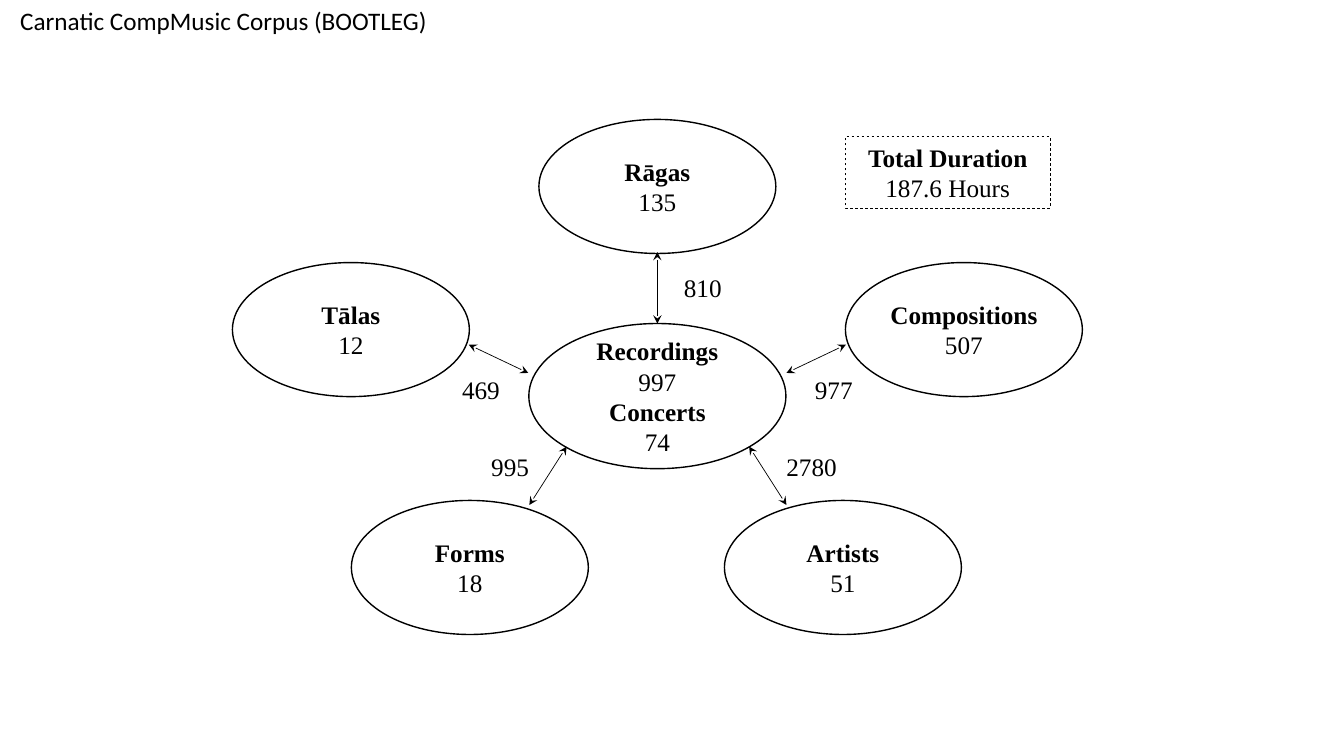
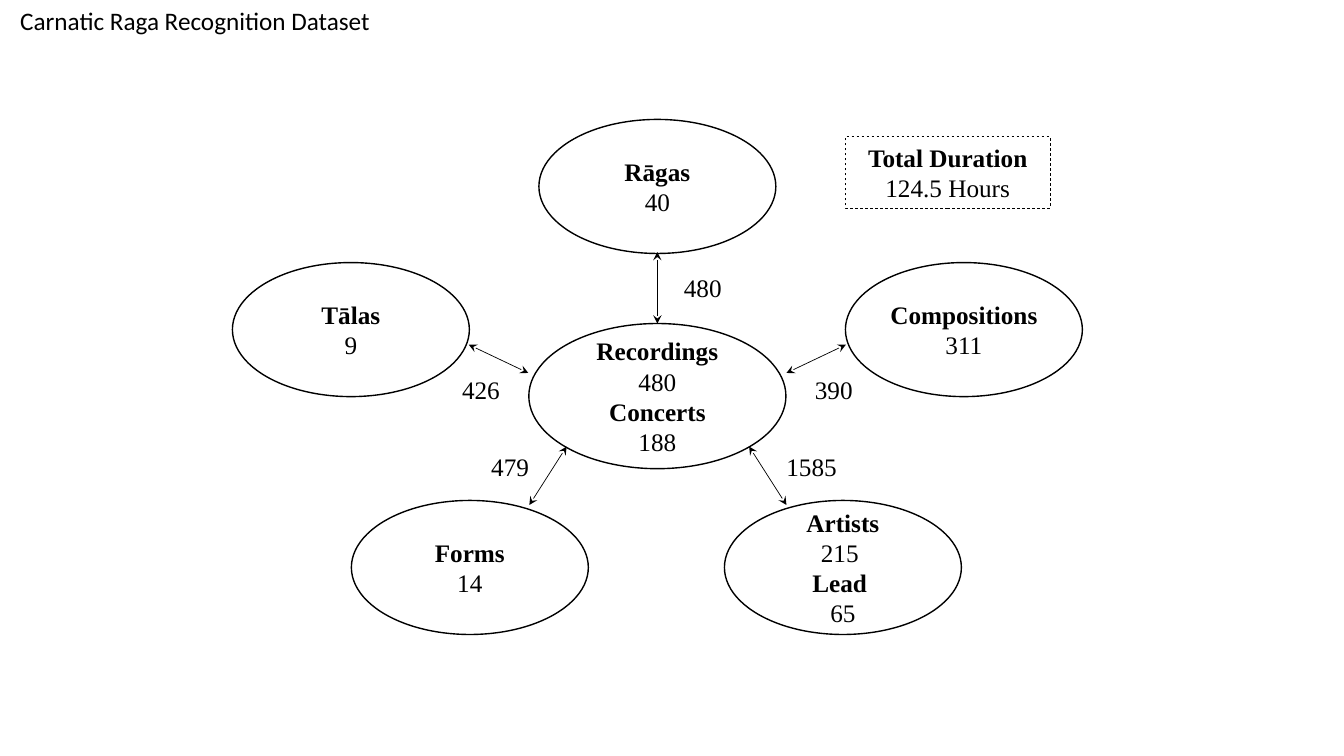
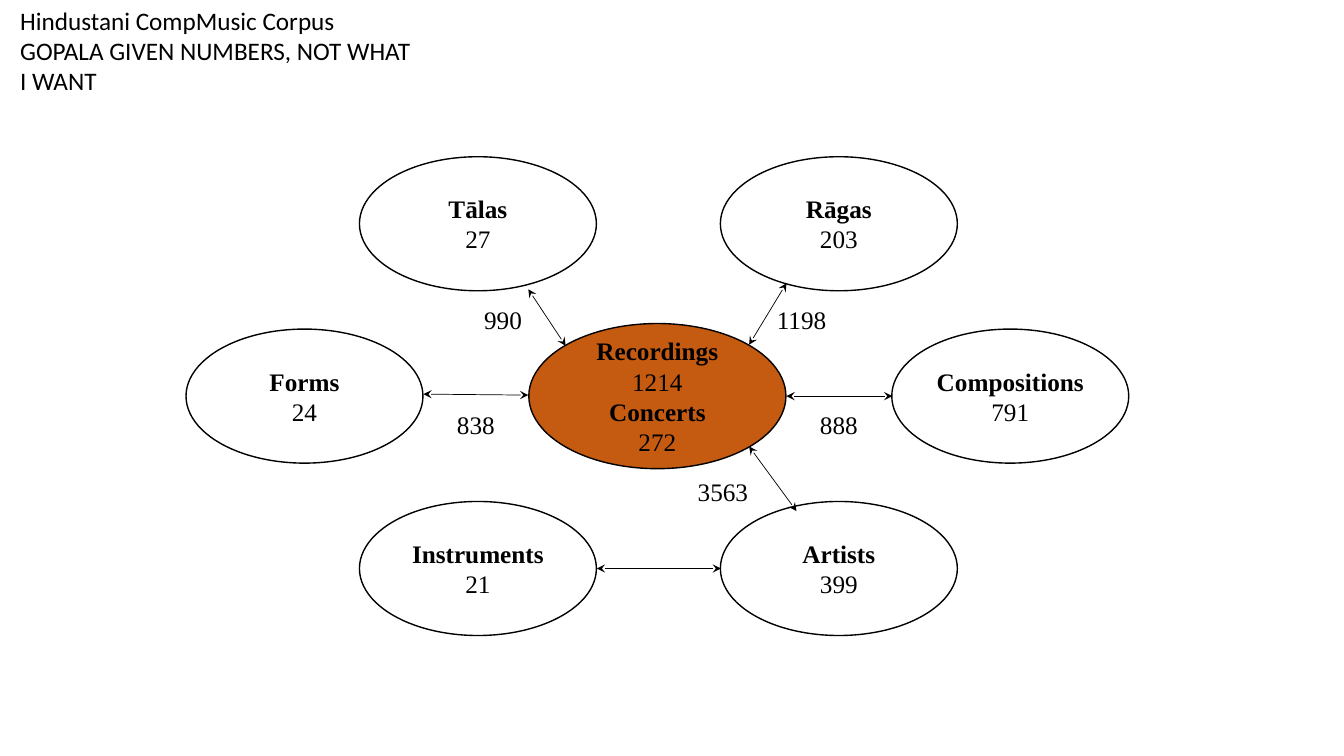
from dataclasses import dataclass

from lxml import etree
from pptx import Presentation
from pptx.dml.color import RGBColor as Rgb
from pptx.enum.dml import MSO_LINE
from pptx.enum.shapes import MSO_CONNECTOR as Wire, MSO_SHAPE as Form
from pptx.enum.text import MSO_ANCHOR as Anchor, MSO_AUTO_SIZE as Fit, PP_ALIGN as Align
from pptx.oxml.ns import qn
from pptx.util import Inches, Pt


@dataclass(frozen=True)
class Theme:
    ink: Rgb = Rgb(0x00, 0x00, 0x00)
    accent: Rgb = Rgb(0xC5, 0x5A, 0x11)
    head: str = "Calibri"
    body: str = "Times New Roman"
    size: int = 18
    edge: float = 1
    thin: float = 0.5


@dataclass(frozen=True)
class Spoke:
    """A topic around the hub; every point is an offset from the hub's centre."""
    name: str
    node: tuple
    start: tuple
    end: tuple
    label: tuple


HUB = (6.52, 3.93)
HUB_SIZE = (2.55, 1.44)
NODE_SIZE = (2.35, 1.33)
LABEL_SIZE = (0.93, 0.4)
TOTAL = (9.4, 1.71)
TOTAL_SIZE = (2.03, 0.71)

STAR = [
    Spoke("Rāgas", (0, -2.08), (0, -0.72), (0, -1.43), (0.45, -1.08)),
    Spoke("Tālas", (-3.04, -0.66), (-1.28, -0.23), (-1.87, -0.51), (-1.75, -0.07)),
    Spoke("Compositions", (3.04, -0.66), (1.28, -0.23), (1.87, -0.51), (1.75, -0.07)),
    Spoke("Forms", (-1.86, 1.7), (-0.9, 0.5), (-1.27, 1.08), (-1.46, 0.7)),
    Spoke("Artists", (1.84, 1.7), (0.91, 0.5), (1.28, 1.08), (1.53, 0.7)),
]
RING = [
    Spoke("Tālas", (-1.78, -1.71), (-0.91, -0.5), (-1.28, -1.06), (-1.53, -0.76)),
    Spoke("Rāgas", (1.8, -1.71), (0.91, -0.51), (1.28, -1.12), (1.43, -0.76)),
    Spoke("Forms", (-3.5, 0), (-1.28, -0.01), (-2.32, -0.02), (-1.8, 0.28)),
    Spoke("Compositions", (3.5, 0), (1.28, 0), (2.33, 0), (1.8, 0.28)),
    Spoke("Instruments", (-1.78, 1.71), (0.63, 1.71), (-0.6, 1.71), (0, 0)),
    Spoke("Artists", (1.8, 1.71), (0.91, 0.5), (1.38, 1.14), (0.65, 0.95)),
]


def put(item, **fmt):
    for key, value in fmt.items():
        setattr(item, key, value)


def shift(point):
    return HUB[0] + point[0], HUB[1] + point[1]


def frame(mid, size):
    """Left, top, width and height of a box centred on mid."""
    return [Inches(v) for v in (mid[0] - size[0] / 2, mid[1] - size[1] / 2, *size)]


class Deck:
    def __init__(self, theme):
        self.theme = theme
        self.prs = Presentation()
        put(self.prs, slide_width=Inches(13.33), slide_height=Inches(7.5))
        self.slide = None

    def font(self, item, name, bold=False):
        put(item.font, name=name, size=Pt(self.theme.size), bold=bold)
        item.font.color.rgb = self.theme.ink

    def page(self, title, width, height):
        self.slide = self.prs.slides.add_slide(self.prs.slide_layouts[5])
        box = self.slide.shapes.title
        put(box, left=Inches(0.1), top=0, width=Inches(width), height=Inches(height))
        put(box.text_frame, text=title, word_wrap=True, auto_size=Fit.NONE,
            vertical_anchor=Anchor.TOP)
        para = box.text_frame.paragraphs[0]
        put(para, alignment=Align.LEFT, line_spacing=1)
        self.font(para, self.theme.head)

    def words(self, box, lines, bold):
        """Centre the lines; with bold, names and values alternate in weight."""
        text = box.text_frame
        put(text, text="\n".join(lines), word_wrap=True, vertical_anchor=Anchor.MIDDLE,
            margin_left=0, margin_right=0)
        for i, para in enumerate(text.paragraphs):
            para.alignment = Align.CENTER
            self.font(para, self.theme.body, bold and i % 2 == 0)

    def block(self, form, mid, size, lines, weight, fill=None, dash=None):
        box = self.slide.shapes.add_shape(form, *frame(mid, size))
        box.shadow.inherit = False
        if fill is None:
            box.fill.background()
        else:
            box.fill.solid()
            box.fill.fore_color.rgb = fill
        box.line.color.rgb = self.theme.ink
        put(box.line, width=Pt(weight), dash_style=dash)
        self.words(box, lines, True)

    def oval(self, mid, size, lines, fill=None):
        self.block(Form.OVAL, mid, size, lines, self.theme.edge, fill)

    def label(self, mid, text):
        self.words(self.slide.shapes.add_textbox(*frame(mid, LABEL_SIZE)), [text], False)

    def arrow(self, start, end):
        """Thin line with an arrowhead at both ends."""
        ends = [Inches(v) for v in (*start, *end)]
        wire = self.slide.shapes.add_connector(Wire.STRAIGHT, *ends)
        wire.line.width = Pt(self.theme.thin)
        wire.line.color.rgb = self.theme.ink
        props = wire._element.spPr
        for tag in ("a:headEnd", "a:tailEnd"):
            etree.SubElement(props.find(qn("a:ln")), qn(tag), type="stealth")
        etree.SubElement(props, qn("a:effectLst"))

    def total(self, hours):
        self.block(Form.RECTANGLE, TOTAL, TOTAL_SIZE, ["Total Duration", hours],
                   self.theme.thin, dash=MSO_LINE.DASH)

    def web(self, counts, spokes, data, fill=None):
        """Hub with its spokes; data gives each topic's link count and values."""
        self.oval(HUB, HUB_SIZE, ["Recordings", counts[0], "Concerts", counts[1]], fill)
        for spoke in spokes:
            link, *values = data[spoke.name]
            self.oval(shift(spoke.node), NODE_SIZE, [spoke.name, *values])
            self.arrow(shift(spoke.start), shift(spoke.end))
            if link:
                self.label(shift(spoke.label), link)


def main():
    theme = Theme()
    deck = Deck(theme)

    deck.page("Carnatic CompMusic Corpus (BOOTLEG)", 4.86, 0.4)
    deck.web(("997", "74"), STAR, {
        "Rāgas": ("810", "135"),
        "Tālas": ("469", "12"),
        "Compositions": ("977", "507"),
        "Forms": ("995", "18"),
        "Artists": ("2780", "51"),
    })
    deck.total("187.6 Hours")

    deck.page("Carnatic Raga Recognition Dataset", 4.18, 0.4)
    deck.web(("480", "188"), STAR, {
        "Rāgas": ("480", "40"),
        "Tālas": ("426", "9"),
        "Compositions": ("390", "311"),
        "Forms": ("479", "14"),
        "Artists": ("1585", "215 ", "Lead ", "65"),
    })
    deck.total("124.5 Hours")

    deck.page("Hindustani CompMusic Corpus\vGOPALA GIVEN NUMBERS, NOT WHAT I WANT", 4.18, 1.31)
    deck.web(("1214", "272"), RING, {
        "Tālas": ("990", "27"),
        "Rāgas": ("1198", "203"),
        "Forms": ("838", "24"),
        "Compositions": ("888", "791"),
        "Instruments": (None, "21"),
        "Artists": ("3563", "399"),
    }, theme.accent)

    deck.prs.save("out.pptx")


if __name__ == "__main__":
    main()
